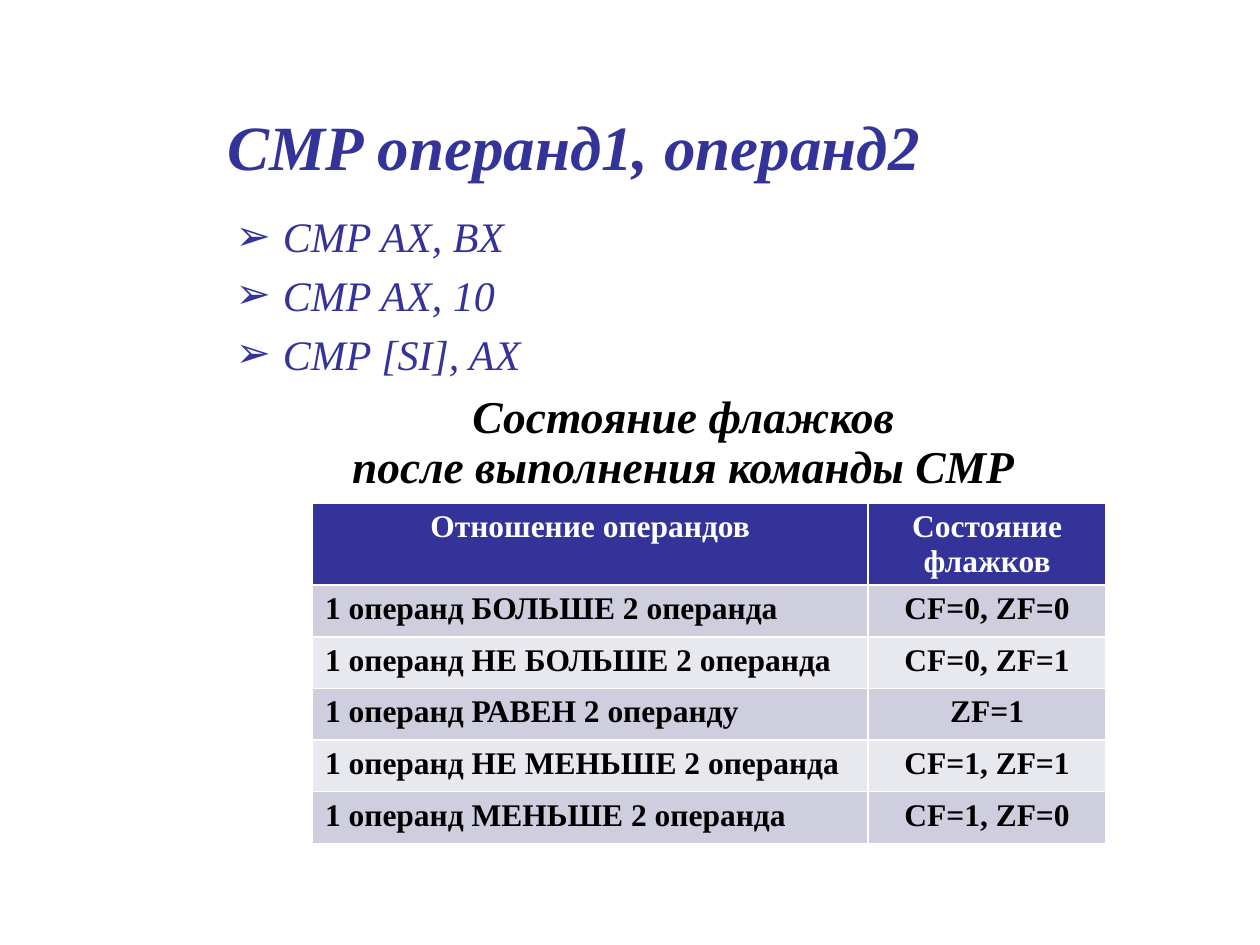
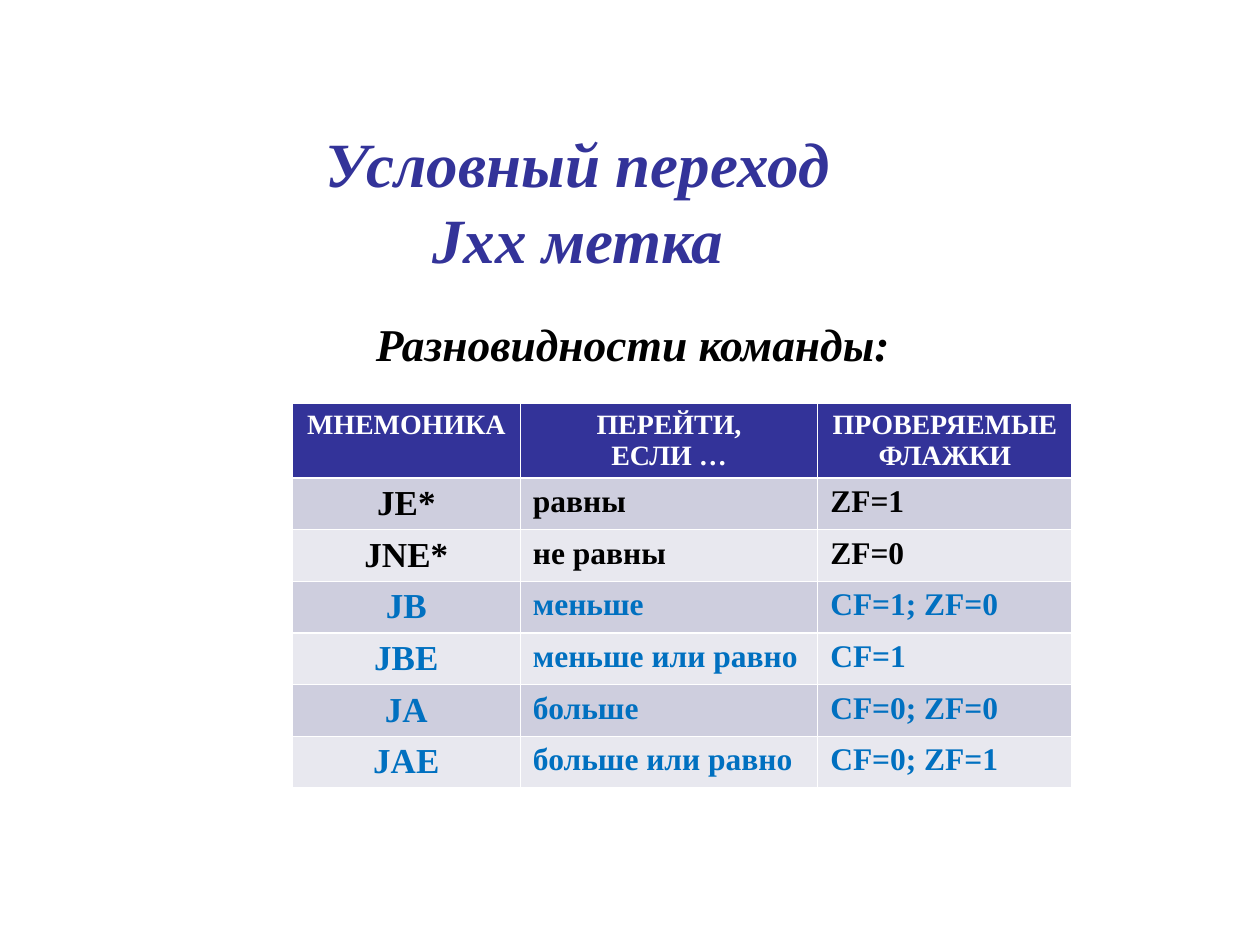
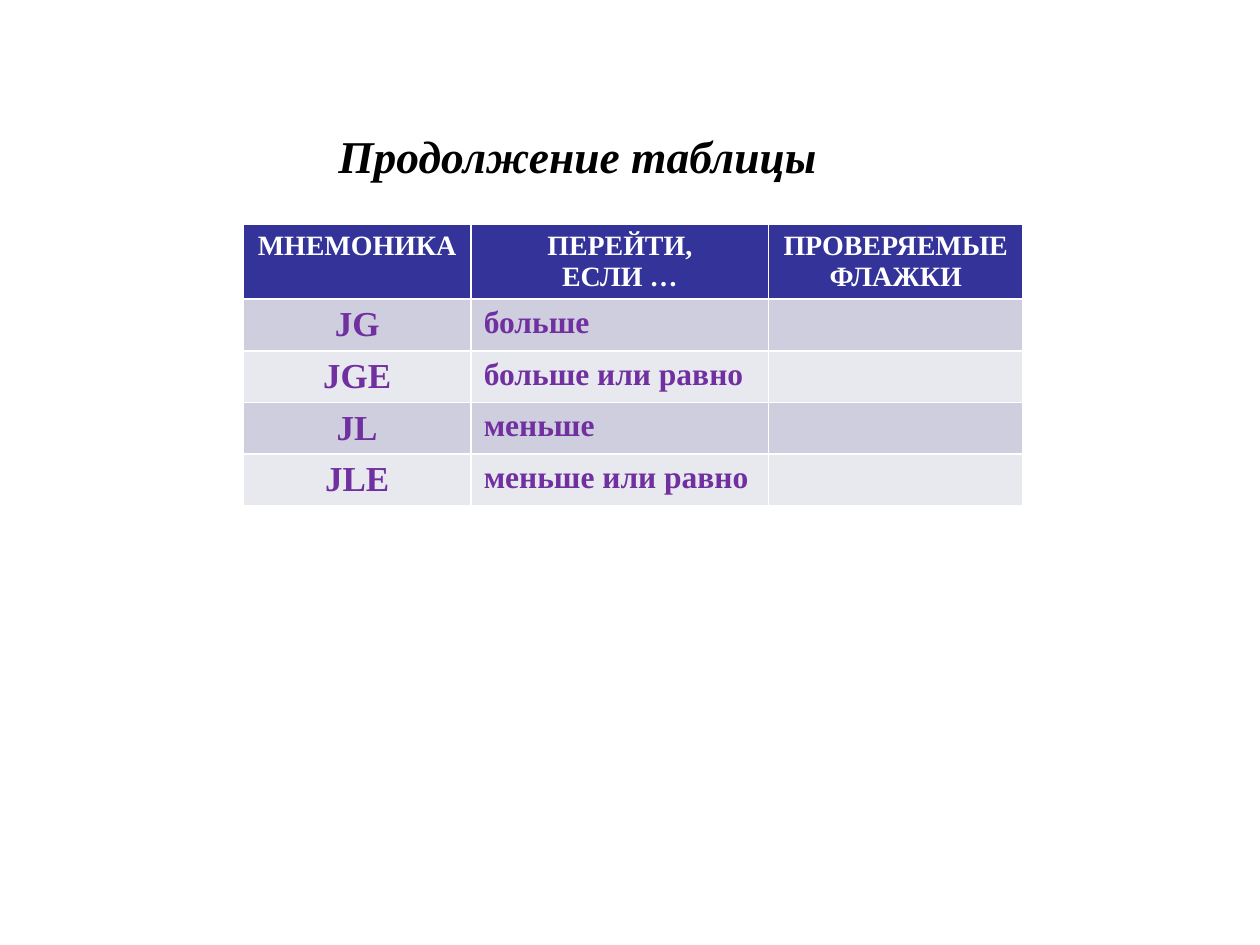
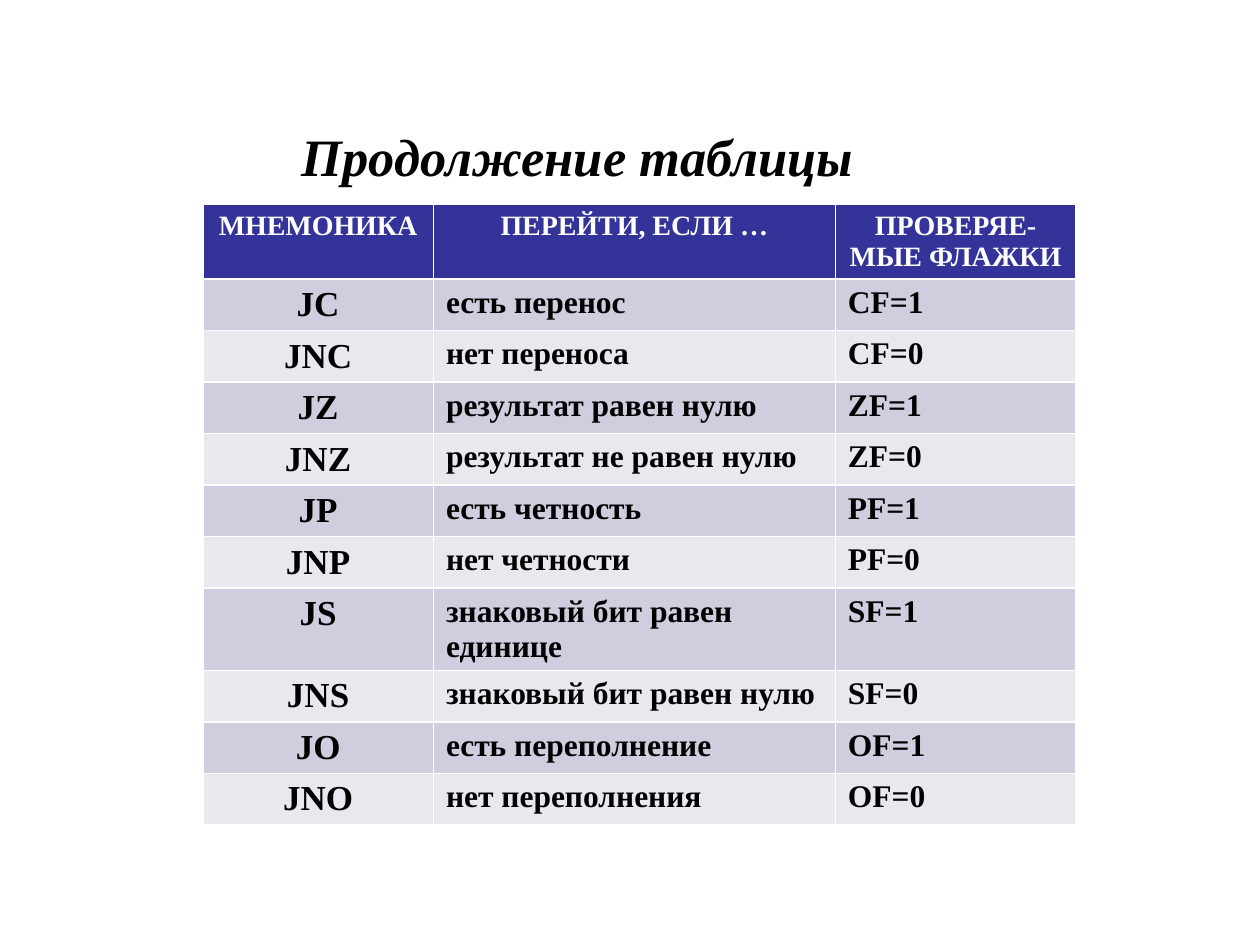
from lxml import etree
from pptx import Presentation
from pptx.dml.color import RGBColor
from pptx.enum import text
from pptx.oxml import ns
from pptx.util import Inches, Pt

FONT = "Times New Roman"
INDIGO = RGBColor(0x33, 0x33, 0x99)
BLACK = RGBColor(0x00, 0x00, 0x00)
WHITE = RGBColor(0xFF, 0xFF, 0xFF)
BLUE = RGBColor(0x00, 0x70, 0xC0)
PURPLE = RGBColor(0x70, 0x30, 0xA0)
BANDS = (RGBColor(0xCE, 0xCE, 0xDE), RGBColor(0xE8, 0xE8, 0xEF))

LEFT, CENTER = text.PP_ALIGN.LEFT, text.PP_ALIGN.CENTER
TITLE_AND_BODY, TITLE_ONLY = 1, 5
HEADING_WIDTH = 6.83
MNEMONIC_SIZES = (20, 18, 18)
MNEMONIC_ALIGNS = (CENTER, LEFT, LEFT)
JUMP_WIDTHS = (1.81, 2.36, 2.02)
JUMP_HEADER = ("МНЕМОНИКА", "ПЕРЕЙТИ,\nЕСЛИ …", "ПРОВЕРЯЕМЫЕ ФЛАЖКИ")


class Lecture:
    """Holds the shared style, the deck and the current page."""

    def __init__(self):
        self.deck = Presentation()
        self.deck.slide_width, self.deck.slide_height = Inches(10), Inches(7.5)
        self.page = None

    def new_page(self, layout=TITLE_ONLY):
        """Start a page on the given layout."""
        self.page = self.deck.slides.add_slide(self.deck.slide_layouts[layout])

    def place(self, box, left, top, width, height):
        """Move and size a box, in inches."""
        box.left, box.top = Inches(left), Inches(top)
        box.width, box.height = Inches(width), Inches(height)

    def set_text(self, frame, words, size, color, align=LEFT, bold=True, italic=False):
        """Fill a text frame, one paragraph a line, in one style."""
        frame.text = words
        for para in frame.paragraphs:
            para.alignment = align
            for font in (para.font, *(span.font for span in para.runs)):
                font.name, font.size = FONT, Pt(size)
                font.bold, font.italic = bold, italic
                font.color.rgb = color

    def heading(self, box, words, size, color):
        """Set a centred bold italic heading in a box."""
        frame = box.text_frame
        frame.word_wrap = True
        frame.auto_size = text.MSO_AUTO_SIZE.NONE
        frame.vertical_anchor = text.MSO_ANCHOR.MIDDLE
        self.set_text(frame, words, size, color, CENTER, italic=True)

    def title(self, words, left=1.17, top=0.92, height=0.63, size=36, color=INDIGO):
        """Set the page title."""
        box = self.page.shapes.title
        self.place(box, left, top, HEADING_WIDTH, height)
        self.heading(box, words, size, color)

    def caption(self, words, left, top, height, spacing=None):
        """Add a table caption, with line spacing in points if given."""
        box = self.page.shapes.add_textbox(
            Inches(left), Inches(top), Inches(HEADING_WIDTH), Inches(height))
        self.heading(box, words, 26, BLACK)
        if spacing:
            for para in box.text_frame.paragraphs:
                para.line_spacing = Pt(spacing)

    def bullets(self, lines, left, top, width, height):
        """Fill the body placeholder with an arrow list."""
        box = self.page.placeholders[1]
        self.place(box, left, top, width, height)
        box.text_frame.auto_size = text.MSO_AUTO_SIZE.NONE
        self.set_text(box.text_frame, "\n".join(lines), 24, INDIGO, bold=False, italic=True)
        for para in box.text_frame.paragraphs:
            bullet = etree.Element(ns.qn("a:buChar"), char="➢")
            para._p.get_or_add_pPr().insert(0, bullet)

    def table(self, left, top, widths, header, rows, colors=(BLACK,), row_height=0.41,
              header_size=16, sizes=MNEMONIC_SIZES, aligns=MNEMONIC_ALIGNS):
        """Add a banded table; the last colour goes on for the rows left over."""
        count = len(rows) + 1
        grid = self.page.shapes.add_table(
            count, len(widths), Inches(left), Inches(top),
            Inches(sum(widths)), Inches(row_height * count)).table
        for column, width in zip(grid.columns, widths):
            column.width = Inches(width)
        for column, words in enumerate(header):
            self.cell(grid.cell(0, column), words, INDIGO, header_size, WHITE, CENTER)
        for index, row in enumerate(rows):
            color = colors[min(index, len(colors) - 1)]
            for column, words in enumerate(row):
                self.cell(grid.cell(index + 1, column), words, BANDS[index % 2],
                          sizes[column], color, aligns[column])

    def cell(self, cell, words, fill, size, color, align):
        """Fill one table cell with colour and text."""
        cell.fill.solid()
        cell.fill.fore_color.rgb = fill
        self.set_text(cell.text_frame, words, size, color, align)


def compare_page(lecture):
    """The CMP command and the flags it sets."""
    lecture.new_page(TITLE_AND_BODY)
    lecture.title("CMP операнд1, операнд2", left=1.14, top=0.84)
    lecture.bullets(("CMP AX, BX", "CMP AX, 10", "CMP [SI], AX"), 1.77, 1.62, 6.33, 1.61)
    lecture.caption("Состояние флажков\nпосле выполнения команды CMP",
                    2.01, 2.96, 1.1, spacing=29)
    lecture.table(
        2.48, 3.99, (4.41, 1.89), ("Отношение операндов", "Состояние флажков"),
        (("1 операнд БОЛЬШЕ 2 операнда", "CF=0, ZF=0"),
         ("1 операнд НЕ БОЛЬШЕ 2 операнда", "CF=0, ZF=1"),
         ("1 операнд РАВЕН 2 операнду", "ZF=1"),
         ("1 операнд НЕ МЕНЬШЕ 2 операнда", "CF=1, ZF=1"),
         ("1 операнд МЕНЬШЕ 2 операнда", "CF=1, ZF=0")),
        header_size=18, sizes=(18, 18), aligns=(LEFT, CENTER))


def jump_page(lecture):
    """Conditional jumps: equality and unsigned order."""
    lecture.new_page()
    lecture.title("Условный переход\vJxx метка", height=1.34)
    lecture.caption("Разновидности команды:", 1.61, 2.41, 0.63)
    lecture.table(
        2.32, 3.2, JUMP_WIDTHS, JUMP_HEADER,
        (("JE*", "равны", "ZF=1"),
         ("JNE*", "не равны", "ZF=0"),
         ("JB", "меньше", "CF=1; ZF=0"),
         ("JBE", "меньше или равно", "CF=1"),
         ("JA", "больше", "CF=0; ZF=0"),
         ("JAE", "больше или равно", "CF=0; ZF=1")),
        colors=(BLACK, BLACK, BLUE))


def signed_page(lecture):
    """Conditional jumps: signed order."""
    lecture.new_page()
    lecture.title("Продолжение таблицы", size=26, color=BLACK)
    lecture.table(
        1.93, 1.78, JUMP_WIDTHS, JUMP_HEADER,
        (("JG", "больше", ""),
         ("JGE", "больше или равно", ""),
         ("JL", "меньше", ""),
         ("JLE", "меньше или равно", "")),
        colors=(PURPLE,))


def flag_page(lecture):
    """Conditional jumps: single flags."""
    lecture.new_page()
    lecture.title("Продолжение таблицы", size=30, color=BLACK)
    lecture.table(
        1.61, 1.62, (1.83, 3.19, 1.91),
        ("МНЕМОНИКА", "ПЕРЕЙТИ, ЕСЛИ …", "ПРОВЕРЯЕ-МЫЕ ФЛАЖКИ"),
        (("JC", "есть перенос", "CF=1"),
         ("JNC", "нет переноса", "CF=0"),
         ("JZ", "результат равен нулю", "ZF=1"),
         ("JNZ", "результат не равен нулю", "ZF=0"),
         ("JP", "есть четность", "PF=1"),
         ("JNP", "нет четности", "PF=0"),
         ("JS", "знаковый бит равен единице", "SF=1"),
         ("JNS", "знаковый бит равен нулю", "SF=0"),
         ("JO", "есть переполнение", "OF=1"),
         ("JNO", "нет переполнения", "OF=0")),
        row_height=0.37)


lecture = Lecture()
for build in (compare_page, jump_page, signed_page, flag_page):
    build(lecture)
lecture.deck.save("out.pptx")
